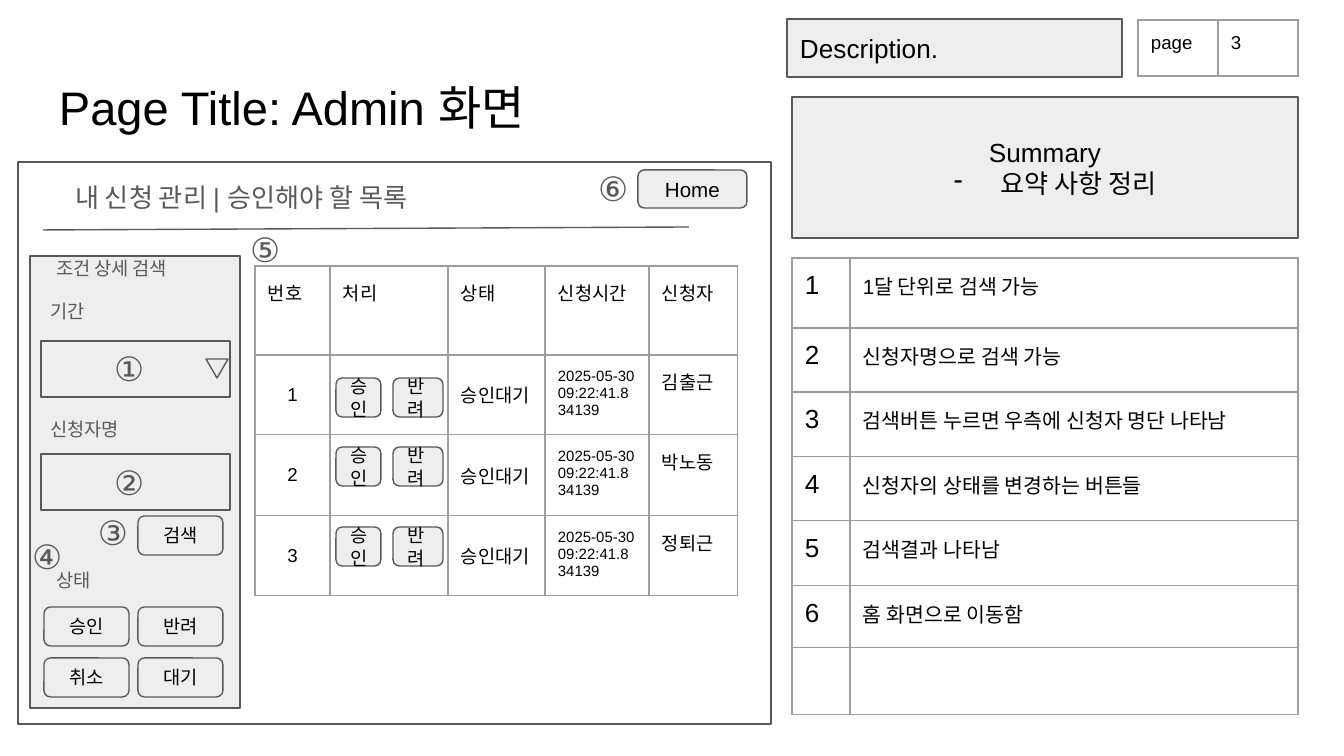
from typing import NamedTuple

from lxml.etree import SubElement as add_node
from pptx import Presentation
from pptx.dml.color import RGBColor as Rgb
from pptx.enum.shapes import MSO_CONNECTOR as Link, MSO_SHAPE as Kind
from pptx.enum.text import MSO_ANCHOR as Anchor, MSO_AUTO_SIZE as Fit, PP_ALIGN as Align
from pptx.oxml import parse_xml
from pptx.oxml.ns import nsdecls, qn
from pptx.util import Emu, Pt

SCALE = 914400 / 134.4
HUE = {"ink": "000000", "gray": "595959", "pale": "EEEEEE", "white": "FFFFFF", "grid": "9E9E9E"}
INSET = 13


class Box(NamedTuple):
    x: int
    y: int
    w: int
    h: int


class Style(NamedTuple):
    size: float
    hue: str = "ink"
    align: Align = Align.LEFT
    anchor: Anchor = Anchor.TOP


class Item(NamedTuple):
    """A piece of text and the box it sits in."""
    text: str
    box: Box


BODY = Style(10)
NOTE = Style(11)
HEAD = Style(14)
STAMP = Style(8)
LABEL = Style(10, "gray", Align.CENTER)
MARK = Style(18, "gray")
MID = Style(10, anchor=Anchor.MIDDLE)
BUTTON = Style(10, align=Align.CENTER, anchor=Anchor.MIDDLE)


def px(count: int) -> Emu:
    return Emu(round(count * SCALE))


def place(box: Box) -> list[Emu]:
    return [px(side) for side in box]


def color(name: str) -> Rgb:
    return Rgb.from_string(HUE[name])


def apply(target, values: dict) -> None:
    for name, value in values.items():
        setattr(target, name, value)


def write(frame, text: str, style: Style) -> None:
    apply(frame, {"word_wrap": True, "vertical_anchor": style.anchor,
                  **{f"margin_{side}": px(INSET) for side in ("left", "right", "top", "bottom")}})
    frame.text = text
    for para in frame.paragraphs:
        para.alignment = style.align
        for run in para.runs:
            apply(run.font, {"name": "Arial", "size": Pt(style.size)})
            run.font.color.rgb = color(style.hue)


def add_label(shapes, item: Item, style: Style, fit: Fit = Fit.SHAPE_TO_FIT_TEXT) -> None:
    frame = shapes.add_textbox(*place(item.box)).text_frame
    write(frame, item.text, style)
    frame.auto_size = fit


def add_block(shapes, box: Box, kind: Kind = Kind.RECTANGLE, fill: str = "pale",
              text: str = "", style: Style = BUTTON):
    block = shapes.add_shape(kind, *place(box))
    block.shadow.inherit = False
    block.fill.solid()
    block.fill.fore_color.rgb = color(fill)
    block.line.color.rgb = color("gray")
    block.line.width = Pt(0.75)
    if text:
        write(block.text_frame, text, style)
    return block


def add_button(shapes, item: Item, style: Style = BUTTON) -> None:
    add_block(shapes, item.box, Kind.ROUNDED_RECTANGLE, text=item.text, style=style)


def add_rule(shapes, start: tuple[int, int], end: tuple[int, int]) -> None:
    rule = shapes.add_connector(Link.STRAIGHT, *map(px, start + end))
    rule.line.color.rgb = color("gray")
    rule.line.width = Pt(0.75)
    add_node(rule._element.spPr, qn("a:effectLst"))


def edge_cell(cell) -> None:
    """Draw a thin line on all four sides of a cell."""
    for spot, side in enumerate("LRTB"):
        cell._tc.get_or_add_tcPr().insert(spot, parse_xml(
            f'<a:ln{side} {nsdecls("a")} w="9525"><a:solidFill>'
            f'<a:srgbClr val="{HUE["grid"]}"/></a:solidFill></a:ln{side}>'))


def add_grid(shapes, x: int, y: int, cols: list[int], rows: list[int],
             cells: list[list[tuple[str, Style]]]) -> None:
    box = Box(x, y, sum(cols), sum(rows))
    table = shapes.add_table(len(rows), len(cols), *place(box)).table
    apply(table, {"first_row": False, "horz_banding": False})
    for col, width in zip(table.columns, cols):
        col.width = px(width)
    for row, height, line in zip(table.rows, rows, cells):
        row.height = px(height)
        for cell, (text, style) in zip(row.cells, line):
            cell.fill.background()
            edge_cell(cell)
            if text:
                write(cell.text_frame, text, style)
                cell.vertical_anchor = style.anchor
            apply(cell, {f"margin_{side}": px(INSET)
                         for side in ("left", "right", "top", "bottom")})


def add_dash(para) -> None:
    """Give a paragraph a hanging dash as its bullet."""
    props = para._p.get_or_add_pPr()
    props.set("marL", "457200")
    props.set("indent", "-317500")
    tint = add_node(props, qn("a:buClr"))
    add_node(tint, qn("a:srgbClr"), val=HUE["ink"])
    add_node(props, qn("a:buChar"), char="-")


NOTES = ["1달 단위로 검색 가능", "신청자명으로 검색 가능", "검색버튼 누르면 우측에 신청자 명단 나타남",
         "신청자의 상태를 변경하는 버튼들", "검색결과 나타남", "홈 화면으로 이동함"]
FIELDS = ["번호", "처리", "상태", "신청시간", "신청자"]
NAMES = ["김출근", "박노동", "정퇴근"]
LABELS = [Item("조건 상세 검색", Box(-7, 246, 237, 50)), Item("기간", Box(31, 289, 73, 50)),
          Item("신청자명", Box(30, 407, 109, 50)), Item("상태", Box(19, 558, 109, 50))]
MARKS = {"①": (101, 335), "②": (101, 449), "③": (85, 499),
         "④": (19, 523), "⑤": (237, 216), "⑥": (585, 155)}
STATES = [["승인", "반려"], ["취소", "대기"]]


def draw_notes(shapes) -> None:
    add_block(shapes, Box(787, 19, 335, 58), text="Description.",
              style=HEAD._replace(anchor=Anchor.MIDDLE))
    add_grid(shapes, 1138, 20, [80, 80], [56], [[("page", BODY), ("3", BODY)]])
    brief = add_block(shapes, Box(792, 97, 506, 141), text="Summary\n요약 사항 정리",
                      style=BUTTON._replace(size=14))
    add_dash(brief.text_frame.paragraphs[1])
    cells = [[(str(rank), HEAD), (note, NOTE)] for rank, note in enumerate(NOTES, 1)]
    cells.append([("", HEAD), ("", NOTE)])
    add_grid(shapes, 792, 258, [58, 448], [70, 64, 65, 64, 65, 62, 62], cells)


def draw_search(shapes) -> None:
    add_block(shapes, Box(30, 256, 210, 452))
    for y in (341, 454):
        add_block(shapes, Box(41, y, 189, 56))
    add_block(shapes, Box(206, 359, 22, 19), Kind.ISOSCELES_TRIANGLE).rotation = 180
    for item in LABELS:
        add_label(shapes, item, LABEL)
    add_button(shapes, Item("검색", Box(138, 516, 85, 39)))
    for row, names in enumerate(STATES):
        for col, name in enumerate(names):
            add_button(shapes, Item(name, Box(44 + 94 * col, 607 + 51 * row, 85, 39)))


def draw_list(shapes) -> None:
    cells = [[(field, BODY) for field in FIELDS]]
    for rank, name in enumerate(NAMES, 1):
        cells.append([(str(rank), BUTTON), ("", BODY), ("승인대기", MID),
                      ("2025-05-30 09:22:41.834139", STAMP), (name, BODY)])
    add_grid(shapes, 255, 266, [75, 118, 97, 104, 89], [89, 80, 81, 80], cells)
    for y in (378, 447, 527):
        add_button(shapes, Item("승인", Box(336, y, 45, 39)))
        add_button(shapes, Item("반려", Box(393, y, 50, 39)),
                   BUTTON._replace(align=Align.JUSTIFY))


def main() -> None:
    deck = Presentation()
    apply(deck, {"slide_width": px(1344), "slide_height": px(756)})
    shapes = deck.slides.add_slide(deck.slide_layouts[6]).shapes
    add_block(shapes, Box(18, 162, 753, 562), fill="white")
    add_label(shapes, Item("Page Title: Admin 화면", Box(46, 66, 1253, 84)), Style(25.2), Fit.NONE)
    draw_notes(shapes)
    add_label(shapes, Item("내 신청 관리 | 승인해야 할 목록", Box(62, 168, 500, 59)),
              HEAD._replace(hue="gray"))
    add_rule(shapes, (43, 230), (689, 227))
    draw_search(shapes)
    draw_list(shapes)
    add_button(shapes, Item("Home", Box(638, 170, 109, 38)), BUTTON._replace(size=11))
    for sign, (x, y) in MARKS.items():
        add_label(shapes, Item(sign, Box(x, y, 55, 67)), MARK)
    deck.save("out.pptx")


if __name__ == "__main__":
    main()
